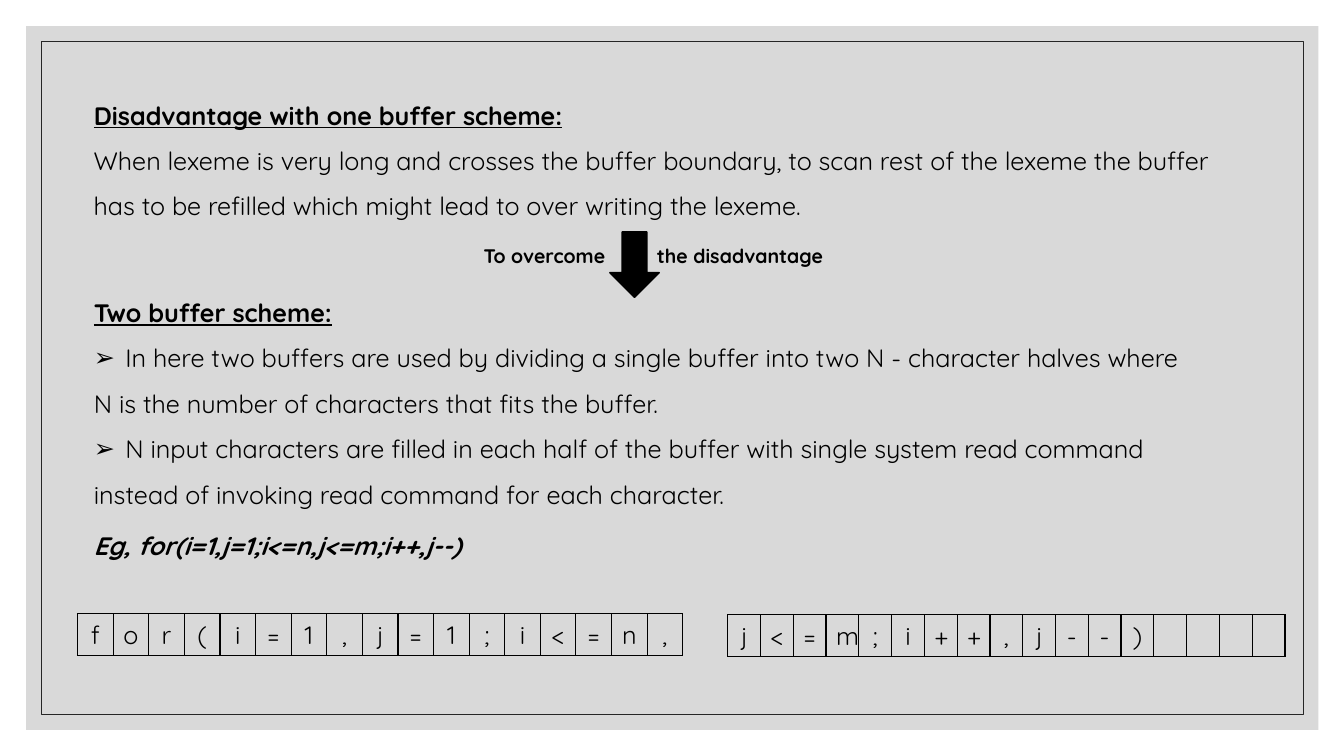
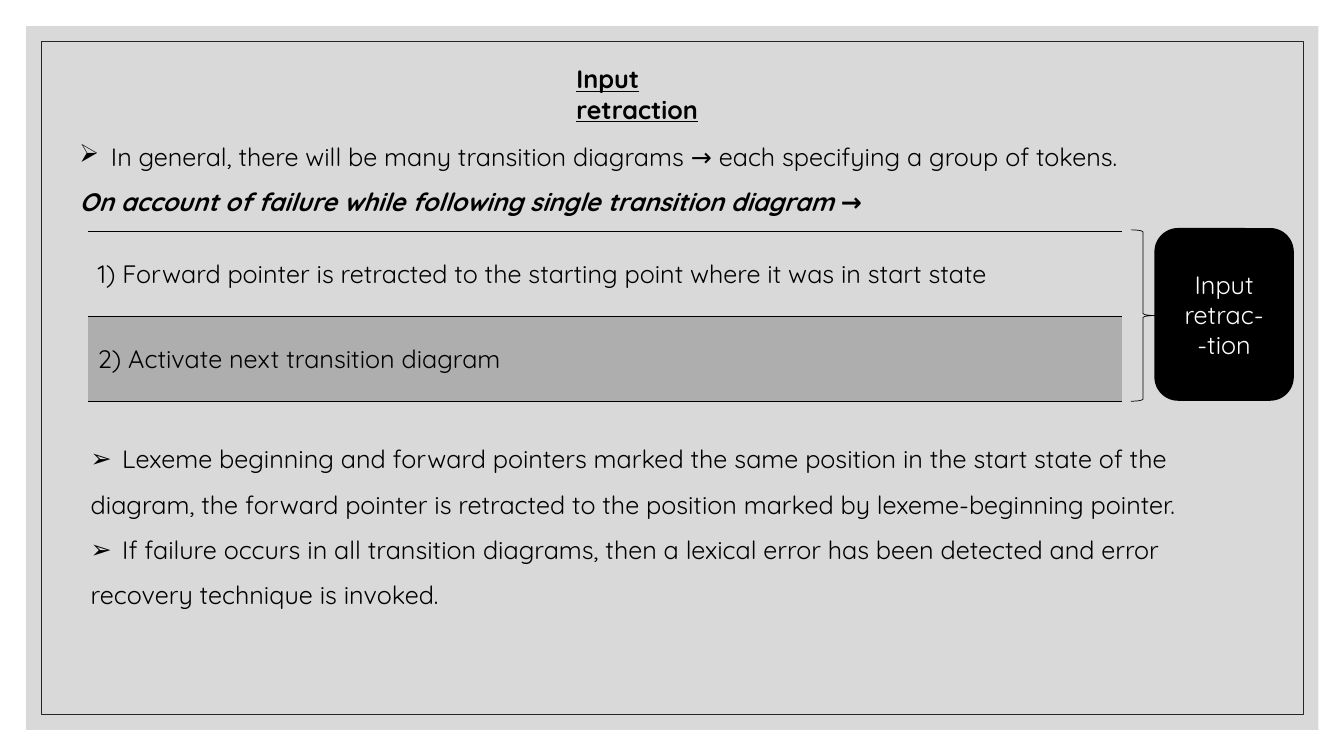
from lxml import etree
from pptx import Presentation
from pptx.dml.color import RGBColor
from pptx.enum.shapes import MSO_SHAPE
from pptx.enum.text import MSO_ANCHOR, MSO_AUTO_SIZE, PP_ALIGN
from pptx.oxml.ns import qn
from pptx.util import Pt

BLACK = RGBColor(0x00, 0x00, 0x00)
WHITE = RGBColor(0xFF, 0xFF, 0xFF)
PANEL = RGBColor(0xD9, 0xD9, 0xD9)
FRAME = RGBColor(0x26, 0x26, 0x26)
ROW_GREY = RGBColor(0xAE, 0xAE, 0xAE)
FONT = "Quicksand"
NO_STYLE = "{2D5ABB26-0587-4C30-8999-92F81FD0307C}"
RECT, DOWN_ARROW = MSO_SHAPE.RECTANGLE, MSO_SHAPE.DOWN_ARROW
BRACE, ROUNDED = MSO_SHAPE.RIGHT_BRACE, MSO_SHAPE.ROUNDED_RECTANGLE
TOP, MIDDLE = MSO_ANCHOR.TOP, MSO_ANCHOR.MIDDLE
LEFT, CENTER = PP_ALIGN.LEFT, PP_ALIGN.CENTER
NO_FIT = MSO_AUTO_SIZE.NONE


def write(tf, lines, size=18, color=BLACK, spacing=1.5, align=LEFT, anchor=TOP):
    """Each line is (kind, text); kind is plain, bullet, head, bold or example."""
    tf.word_wrap = True
    tf.auto_size = NO_FIT
    tf.vertical_anchor = anchor
    for i, (kind, text) in enumerate(lines):
        p = tf.add_paragraph() if i else tf.paragraphs[0]
        p.alignment, p.line_spacing = align, spacing
        p.space_before = Pt(0)
        pPr = p._p.get_or_add_pPr()
        indent = Pt(22.5) if kind == "bullet" else 0
        pPr.set("marL", str(indent))
        pPr.set("indent", str(-indent))
        if kind == "bullet":
            etree.SubElement(pPr, qn("a:buChar")).set("char", "➢")
        else:
            etree.SubElement(pPr, qn("a:buNone"))
        r = p.add_run()
        r.text = text
        r.font.name, r.font.size = FONT, Pt(size)
        r.font.color.rgb = color
        r.font.bold = kind in ("head", "bold", "example")
        r.font.italic = kind == "example"
        r.font.underline = kind == "head"


def plain_table(s, rows, left, top, col_width, row_height, sides, align):
    """Add a table without a style; sides names the cell borders to draw."""
    n = len(rows[0])
    gf = s.shapes.add_table(len(rows), n, Pt(left), Pt(top),
                            Pt(col_width * n), Pt(row_height * len(rows)))
    gf.element.find(".//" + qn("a:tableStyleId")).text = NO_STYLE
    table = gf.table
    table.first_row = table.horz_banding = False
    for col in table.columns:
        col.width = Pt(col_width)
    for i, texts in enumerate(rows):
        table.rows[i].height = Pt(row_height)
        for j, text in enumerate(texts):
            cell = table.cell(i, j)
            tcPr = cell._tc.get_or_add_tcPr()
            for side in sides:
                ln = etree.SubElement(tcPr, qn("a:ln" + side), w=str(Pt(1)))
                fill = etree.SubElement(ln, qn("a:solidFill"))
                etree.SubElement(fill, qn("a:srgbClr"), val=str(BLACK))
            cell.fill.background()
            cell.vertical_anchor = MIDDLE
            if text:
                p = cell.text_frame.paragraphs[0]
                p.alignment = align
                r = p.add_run()
                r.text = text
                r.font.name, r.font.size = FONT, Pt(18)
                r.font.color.rgb = BLACK
    return table


prs = Presentation()
prs.slide_width, prs.slide_height = Pt(960), Pt(540)
layout = prs.slide_layouts[1]
buffer_slide = prs.slides.add_slide(layout)
retract_slide = prs.slides.add_slide(layout)

# Grey panel and thin frame, shared through the layout
for i, (x, y, w, h) in enumerate([(18.7, 18.7, 923, 502.6), (29.5, 29.5, 901.4, 481)]):
    sp = buffer_slide.shapes.add_shape(RECT, Pt(x), Pt(y), Pt(w), Pt(h))
    sp.shadow.inherit = False
    if i == 0:
        sp.fill.solid()
        sp.fill.fore_color.rgb = PANEL
        sp.line.fill.background()
    else:
        sp.fill.background()
        sp.line.color.rgb, sp.line.width = FRAME, Pt(0.5)
    layout.shapes.element.insert(2 + i, sp.element)

# Titles and lists
for s, title, title_box, spacing, lines, list_box in [
    (buffer_slide, "Disadvantage with one buffer scheme:", (59.8, 57, 858, 36), 1.5, [
        ("head", "Two buffer scheme:"),
        ("bullet", "In here two buffers are used by dividing a single buffer into two N - character halves where"),
        ("plain", "N is the number of characters that fits the buffer."),
        ("bullet", "N input characters are filled in each half of the buffer with single system read command"),
        ("plain", "instead of invoking read command for each character."),
    ], (59.8, 198, 840, 167)),
    (retract_slide, "Input retraction", (404.6, 41.8, 130, 52), 1, [
        ("bullet", "Lexeme beginning and forward pointers marked the same position in the start state of the"),
        ("plain", "diagram, the forward pointer is retracted to the position marked by lexeme-beginning pointer."),
        ("bullet", "If failure occurs in all transition diagrams, then a lexical error has been detected and error"),
        ("plain", "recovery technique is invoked."),
    ], (57.6, 302.4, 845, 134)),
]:
    for sp, box in ((s.shapes.title, title_box), (s.placeholders[1], list_box)):
        sp.left, sp.top, sp.width, sp.height = [Pt(v) for v in box]
    write(s.shapes.title.text_frame, [("head", title)], spacing=spacing)
    write(s.placeholders[1].text_frame, lines)

# Text boxes
for s, (x, y, w, h), size, spacing, lines in [
    (buffer_slide, (59.8, 89.4, 858, 72), 18, 1.5, [
        ("plain", "When lexeme is very long and crosses the buffer boundary, to scan rest of the lexeme the buffer"),
        ("plain", "has to be refilled which might lead to over writing the lexeme."),
    ]),
    (buffer_slide, (338.4, 170.6, 110, 24.5), 14, 1, [("bold", "To overcome")]),
    (buffer_slide, (462.2, 170.6, 144, 24.5), 14, 1, [("bold", "the disadvantage")]),
    (buffer_slide, (59.8, 375.1, 300, 29), 18, 1, [("example", "Eg, for(i=1,j=1;i<=n,j<=m;i++,j--)")]),
    (retract_slide, (49.7, 86.4, 804, 68.4), 18, 1.5, [
        ("bullet", "In general, there will be many transition diagrams → each specifying a group of tokens."),
        ("example", "On account of failure while following single transition diagram →"),
    ]),
]:
    tb = s.shapes.add_textbox(Pt(x), Pt(y), Pt(w), Pt(h))
    write(tb.text_frame, lines, size=size, spacing=spacing)

# Arrow, brace and label box
for s, shape, (x, y, w, h), filled, width in [
    (buffer_slide, DOWN_ARROW, (435.6, 165.6, 35.3, 46.8), True, 1),
    (retract_slide, BRACE, (807.8, 164.2, 17.3, 122.4), False, 0.5),
    (retract_slide, ROUNDED, (825.1, 163.4, 98.6, 122.4), True, 1),
]:
    sp = s.shapes.add_shape(shape, Pt(x), Pt(y), Pt(w), Pt(h))
    sp.shadow.inherit = False
    sp.line.color.rgb, sp.line.width = BLACK, Pt(width)
    if filled:
        sp.fill.solid()
        sp.fill.fore_color.rgb = BLACK
    else:
        sp.fill.background()
    if shape == ROUNDED:
        write(sp.text_frame, [("plain", "Input retrac-"), ("plain", "-tion")],
              color=WHITE, spacing=1, align=CENTER, anchor=MIDDLE)

# The two buffer halves, 17 characters each
for text, left, top, col_width in [
    ("for(i=1,j=1;i<=n,", 55.4, 438.5, 25.45),
    ("j<=m;i++,j--)", 519.8, 439.2, 23.42),
]:
    chars = list(text) + [""] * (17 - len(text))
    plain_table(buffer_slide, [chars], left, top, col_width, 28.8, "LRTB", CENTER)

# Retraction steps
steps = plain_table(retract_slide, [
    ["1) Forward pointer is retracted to the starting point where it was in start state"],
    ["2) Activate next transition diagram"],
], 62.6, 165.6, 738.7, 60.5, "TB", LEFT)
grey_cell = steps.cell(1, 0)
grey_cell.fill.solid()
grey_cell.fill.fore_color.rgb = ROW_GREY

prs.save("out.pptx")
